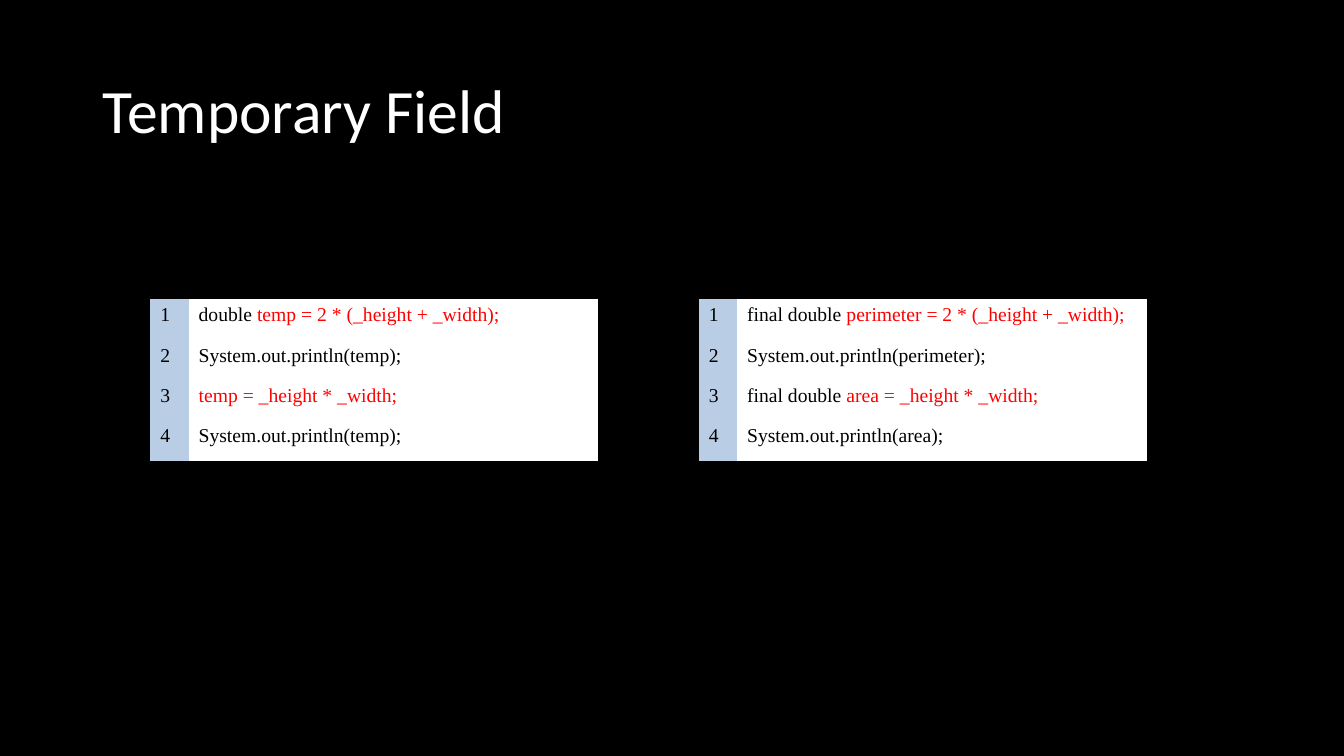
from lxml import etree
from pptx import Presentation
from pptx import util as u
from pptx.dml.color import RGBColor
from pptx.enum import text
from pptx.oxml import ns

BLACK = RGBColor(0x00, 0x00, 0x00)
WHITE = RGBColor(0xFF, 0xFF, 0xFF)
RED = RGBColor(0xFF, 0x00, 0x00)
PALE_BLUE = RGBColor(0xB9, 0xCD, 0xE5)
NO_GRID_STYLE = "{2D5ABB26-0587-4C30-8999-92F81FD0307C}"


class CodeSlide:
    """Hold the style and the slide on which titles and code listings are set."""

    title_font = "Calibri"
    code_font = "Times New Roman"
    number_width = u.Inches(0.38)
    code_width = u.Inches(4.06)
    row_height = u.Inches(0.4)

    def __init__(self, presentation):
        self.slide = presentation.slides.add_slide(presentation.slide_layouts[6])
        background = self.slide.background.fill
        background.solid()
        background.fore_color.rgb = BLACK

    def add_run(self, paragraph, wording, font, size, color):
        run = paragraph.add_run()
        run.text = wording
        run.font.name = font
        run.font.size = u.Pt(size)
        run.font.color.rgb = color

    def add_title(self, wording, left, top, width, height):
        box = self.slide.shapes.add_textbox(
            u.Inches(left), u.Inches(top), u.Inches(width), u.Inches(height))
        frame = box.text_frame
        frame.word_wrap = True
        frame.vertical_anchor = text.MSO_ANCHOR.MIDDLE
        heading = frame.paragraphs[0]
        heading.line_spacing = 0.9
        self.add_run(heading, wording, self.title_font, 44, WHITE)

    def add_border(self, cell, side, points):
        line = etree.SubElement(cell._tc.get_or_add_tcPr(), ns.qn(f"a:ln{side}"),
                                w=str(u.Pt(points)))
        fill = etree.SubElement(line, ns.qn("a:solidFill"))
        etree.SubElement(fill, ns.qn("a:srgbClr"), val=str(WHITE))

    def fill_cell(self, cell, runs, color):
        cell.fill.solid()
        cell.fill.fore_color.rgb = color
        for wording, run_color in runs:
            self.add_run(cell.text_frame.paragraphs[0], wording,
                         self.code_font, 14, run_color)

    def add_listing(self, lines, left, top):
        listing = self.slide.shapes.add_table(
            len(lines), 2, u.Inches(left), u.Inches(top),
            self.number_width + self.code_width, self.row_height * len(lines)).table
        listing.first_row = False
        listing.horz_banding = False
        listing._tbl.tblPr.find(ns.qn("a:tableStyleId")).text = NO_GRID_STYLE
        listing.columns[0].width = self.number_width
        listing.columns[1].width = self.code_width
        for index, runs in enumerate(lines):
            listing.rows[index].height = self.row_height
            number, code = listing.cell(index, 0), listing.cell(index, 1)
            self.fill_cell(number, [(str(index + 1), BLACK)], PALE_BLUE)
            for side, points in (("R", 1), ("T", 1), ("B", 1 if index else 3)):
                self.add_border(code, side, points)
            self.fill_cell(code, runs, WHITE)


def main():
    presentation = Presentation()
    presentation.slide_width = u.Inches(13.33)
    presentation.slide_height = u.Inches(7.5)
    page = CodeSlide(presentation)
    page.add_title("Temporary Field", 0.92, 0.4, 11.5, 1.45)
    before = [
        [("double ", BLACK), ("temp = 2 * (_height + _width);", RED)],
        [("System.out.println(temp);", BLACK)],
        [("temp = _height * _width;", RED)],
        [("System.out.println(temp);", BLACK)],
    ]
    after = [
        [("final double ", BLACK), ("perimeter = 2 * (_height + _width);", RED)],
        [("System.out.println(perimeter);", BLACK)],
        [("final double ", BLACK), ("area = _height * _width;", RED)],
        [("System.out.println(area);", BLACK)],
    ]
    for lines, left in ((before, 1.49), (after, 6.93)):
        page.add_listing(lines, left, 2.97)
    presentation.save("out.pptx")


if __name__ == "__main__":
    main()
